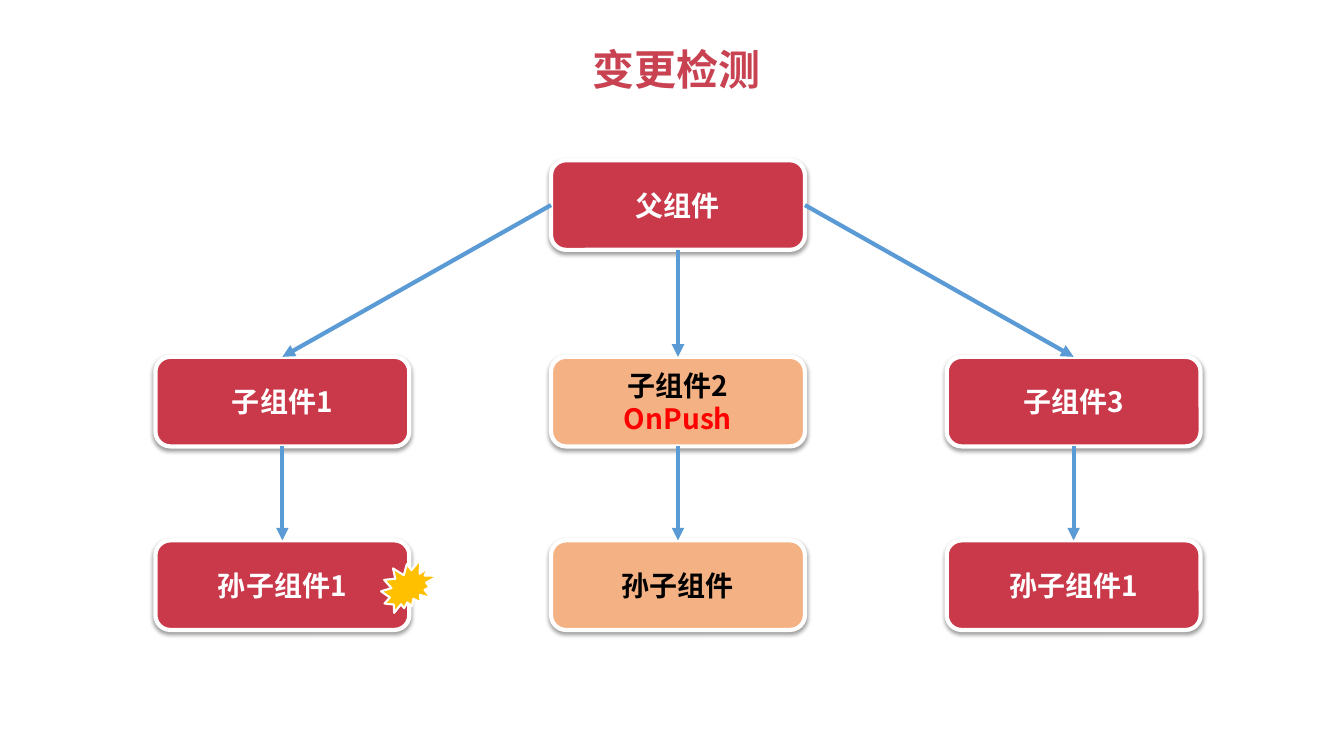
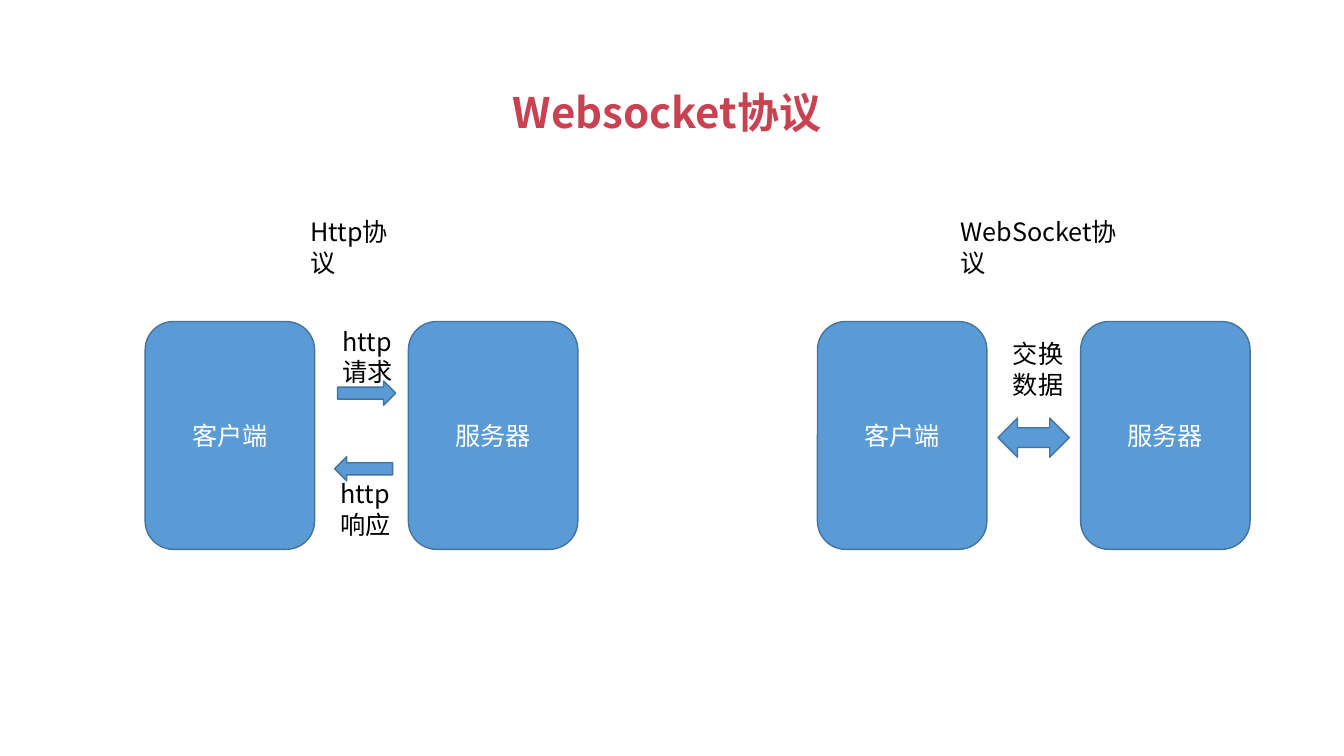
from dataclasses import dataclass
from typing import Any

from lxml.etree import SubElement
from pptx import Presentation
from pptx.dml.color import RGBColor
from pptx.enum.shapes import MSO_CONNECTOR, MSO_SHAPE
from pptx.enum.text import MSO_ANCHOR, PP_ALIGN
from pptx.oxml.ns import qn
from pptx.util import Pt

FONT = "Noto Sans CJK SC"
TITLE_RED = "C94251"
RED = "C9394A"
ORANGE = "F4B183"
YELLOW = "FFC000"
BLUE = "5B9BD5"
BLUE_EDGE = "43739E"
WHITE = "FFFFFF"
BLACK = "000000"
ALERT_RED = "FF0000"

NODE_WIDTH, NODE_HEIGHT = 181.4, 64
NODE_LEFT, COLUMN_PITCH = 111, 282.6
ROW_TOPS = (114.5, 254.9, 386)
TOP, LEFT, BOTTOM, RIGHT = range(4)

PEER_WIDTH, PEER_HEIGHT = 121, 162.7
PEER_TOP, PEER_PITCH = 229.7, 188


@dataclass(frozen=True)
class Box:
    left: float
    top: float
    width: float
    height: float

    def lengths(self) -> tuple[Pt, ...]:
        return Pt(self.left), Pt(self.top), Pt(self.width), Pt(self.height)


@dataclass(frozen=True)
class Node:
    name: str
    column: int
    row: int
    text: str
    fill: str = RED
    color: str = WHITE


@dataclass(frozen=True)
class Link:
    start: str
    start_side: int
    end: str


@dataclass(frozen=True)
class Label:
    text: str
    box: Box


@dataclass(frozen=True)
class Arrow:
    kind: MSO_SHAPE
    box: Box
    rotation: float = 0


@dataclass(frozen=True)
class Protocol:
    left: float
    heading: Label
    arrows: tuple[Arrow, ...]
    notes: tuple[Label, ...]


NODES = (
    Node("parent", 1, 0, "父组件"),
    Node("child1", 0, 1, "子组件1"),
    Node("child3", 2, 1, "子组件3"),
    Node("grandchild1", 0, 2, "孙子组件1"),
    Node("grandchild3", 2, 2, "孙子组件1"),
    Node("child2", 1, 1, "子组件2\nOnPush", ORANGE, BLACK),
    Node("grandchild2", 1, 2, "孙子组件", ORANGE, BLACK),
)
LINKS = (
    Link("parent", BOTTOM, "child2"),
    Link("child2", BOTTOM, "grandchild2"),
    Link("parent", LEFT, "child1"),
    Link("parent", RIGHT, "child3"),
    Link("child1", BOTTOM, "grandchild1"),
    Link("child3", BOTTOM, "grandchild3"),
)
PROTOCOLS = (
    Protocol(
        103.7,
        Label("Http协议", Box(214.6, 151.2, 85.7, 28.8)),
        (
            Arrow(MSO_SHAPE.RIGHT_ARROW, Box(241.2, 272.2, 41.5, 17.3)),
            Arrow(MSO_SHAPE.RIGHT_ARROW, Box(239, 326.2, 41.5, 17.3), 180),
        ),
        (
            Label("http\n请求", Box(237.6, 229.7, 51, 51)),
            Label("http\n响应", Box(236.2, 338.4, 51, 51)),
        ),
    ),
    Protocol(
        583.9,
        Label("WebSocket协议", Box(679, 151.2, 139, 28.8)),
        (Arrow(MSO_SHAPE.LEFT_RIGHT_ARROW, Box(712.8, 298.6, 51, 28)),),
        (Label("交换\n数据", Box(716.4, 238.3, 51, 51)),),
    ),
)


def rgb(color: str) -> RGBColor:
    return RGBColor.from_string(color)


def write_text(shape: Any, text: str, *, size: float = 18, color: str = BLACK,
               bold: bool = False, align: PP_ALIGN = PP_ALIGN.LEFT,
               anchor: MSO_ANCHOR = MSO_ANCHOR.TOP, wrap: bool = True) -> None:
    frame = shape.text_frame
    frame.word_wrap = wrap
    frame.vertical_anchor = anchor
    for index, line in enumerate(text.split("\n")):
        paragraph = frame.add_paragraph() if index else frame.paragraphs[0]
        paragraph.alignment = align
        run = paragraph.add_run()
        run.text = line
        run.font.size = Pt(size)
        run.font.bold = bold
        run.font.color.rgb = rgb(color)
        run.font.name = FONT
        SubElement(run.font._element, qn("a:ea"), typeface=FONT)


def add_label(shapes: Any, label: Label, **text_format: Any) -> None:
    write_text(shapes.add_textbox(*label.box.lengths()), label.text, **text_format)


def add_title(slide: Any, text: str, box: Box) -> None:
    add_label(slide.shapes, Label(text, box), size=30, color=TITLE_RED, bold=True, wrap=False)


def add_filled_shape(shapes: Any, kind: MSO_SHAPE, box: Box, *, fill: str = BLUE,
                     line: str = BLUE_EDGE, line_width: float = 1) -> Any:
    shape = shapes.add_shape(kind, *box.lengths())
    shape.shadow.inherit = False
    shape.fill.solid()
    shape.fill.fore_color.rgb = rgb(fill)
    shape.line.color.rgb = rgb(line)
    shape.line.width = Pt(line_width)
    return shape


def add_soft_shadow(shape: Any) -> None:
    effects = shape._element.spPr.find(qn("a:effectLst"))
    shadow = SubElement(effects, qn("a:outerShdw"), blurRad=str(Pt(3.1)), dist=str(Pt(1.6)),
                        dir="5400000", algn="t", rotWithShape="0")
    color = SubElement(shadow, qn("a:srgbClr"), val=BLACK)
    SubElement(color, qn("a:alpha"), val="38000")


def add_node(slide: Any, node: Node) -> Any:
    box = Box(NODE_LEFT + node.column * COLUMN_PITCH, ROW_TOPS[node.row], NODE_WIDTH, NODE_HEIGHT)
    shape = add_filled_shape(slide.shapes, MSO_SHAPE.ROUNDED_RECTANGLE, box,
                             fill=node.fill, line=WHITE, line_width=3)
    add_soft_shadow(shape)
    write_text(shape, node.text, size=20, color=node.color, bold=True,
               align=PP_ALIGN.CENTER, anchor=MSO_ANCHOR.MIDDLE)
    return shape


def add_link(slide: Any, start: Any, start_side: int, end: Any) -> None:
    connector = slide.shapes.add_connector(MSO_CONNECTOR.STRAIGHT, 0, 0, 0, 0)
    connector.begin_connect(start, start_side)
    connector.end_connect(end, TOP)
    connector.line.color.rgb = rgb(BLUE)
    connector.line.width = Pt(3)
    SubElement(connector.line._get_or_add_ln(), qn("a:tailEnd"), type="triangle")
    SubElement(connector._element.spPr, qn("a:effectLst"))


def add_protocol(slide: Any, protocol: Protocol) -> None:
    shapes = slide.shapes.add_group_shape().shapes
    for index, name in enumerate(("客户端", "服务器")):
        box = Box(protocol.left + index * PEER_PITCH, PEER_TOP, PEER_WIDTH, PEER_HEIGHT)
        peer = add_filled_shape(shapes, MSO_SHAPE.ROUNDED_RECTANGLE, box)
        write_text(peer, name, color=WHITE, align=PP_ALIGN.CENTER, anchor=MSO_ANCHOR.MIDDLE)
    add_label(shapes, protocol.heading)
    for arrow in protocol.arrows:
        add_filled_shape(shapes, arrow.kind, arrow.box).rotation = arrow.rotation
    for note in protocol.notes:
        add_label(shapes, note, wrap=False)


def build_change_detection(slide: Any) -> None:
    add_title(slide, "变更检测", Box(416.2, 27.4, 135.4, 44))
    nodes = {node.name: add_node(slide, node) for node in NODES}
    on_push = nodes["child2"].text_frame.paragraphs[1].runs[0]
    on_push.font.color.rgb = rgb(ALERT_RED)
    add_filled_shape(slide.shapes, MSO_SHAPE.EXPLOSION2, Box(272.2, 399.6, 41, 38.2),
                     fill=YELLOW, line=WHITE, line_width=1.5)
    for link in LINKS:
        add_link(slide, nodes[link.start], link.start_side, nodes[link.end])


def build_websocket(slide: Any) -> None:
    add_title(slide, "Websocket协议", Box(359.3, 58.3, 244, 44))
    for protocol in PROTOCOLS:
        add_protocol(slide, protocol)


def main() -> None:
    presentation = Presentation()
    presentation.slide_width = Pt(960)
    presentation.slide_height = Pt(540)
    blank = presentation.slide_layouts[6]
    for build in (build_change_detection, build_websocket):
        build(presentation.slides.add_slide(blank))
    presentation.save("out.pptx")


if __name__ == "__main__":
    main()
